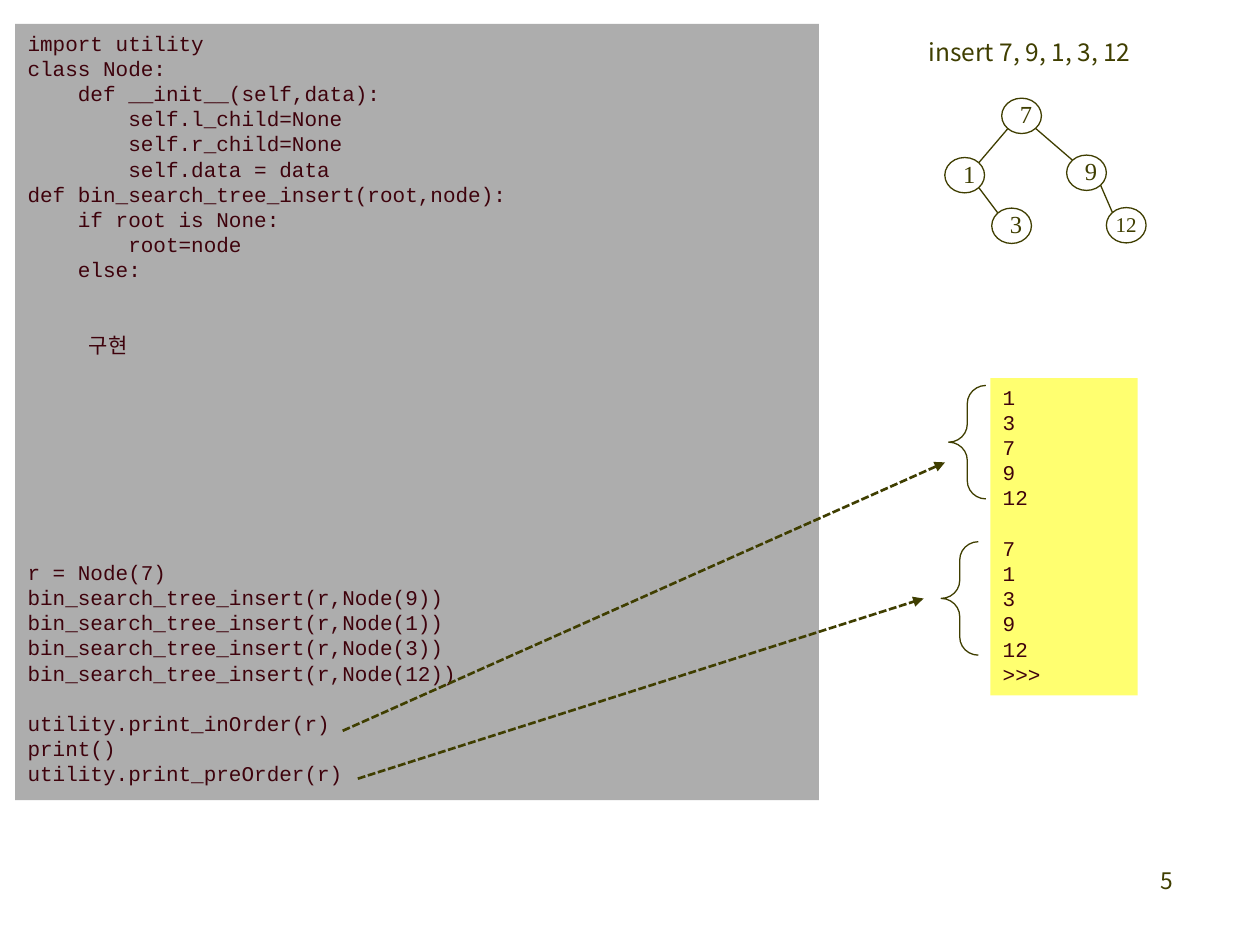
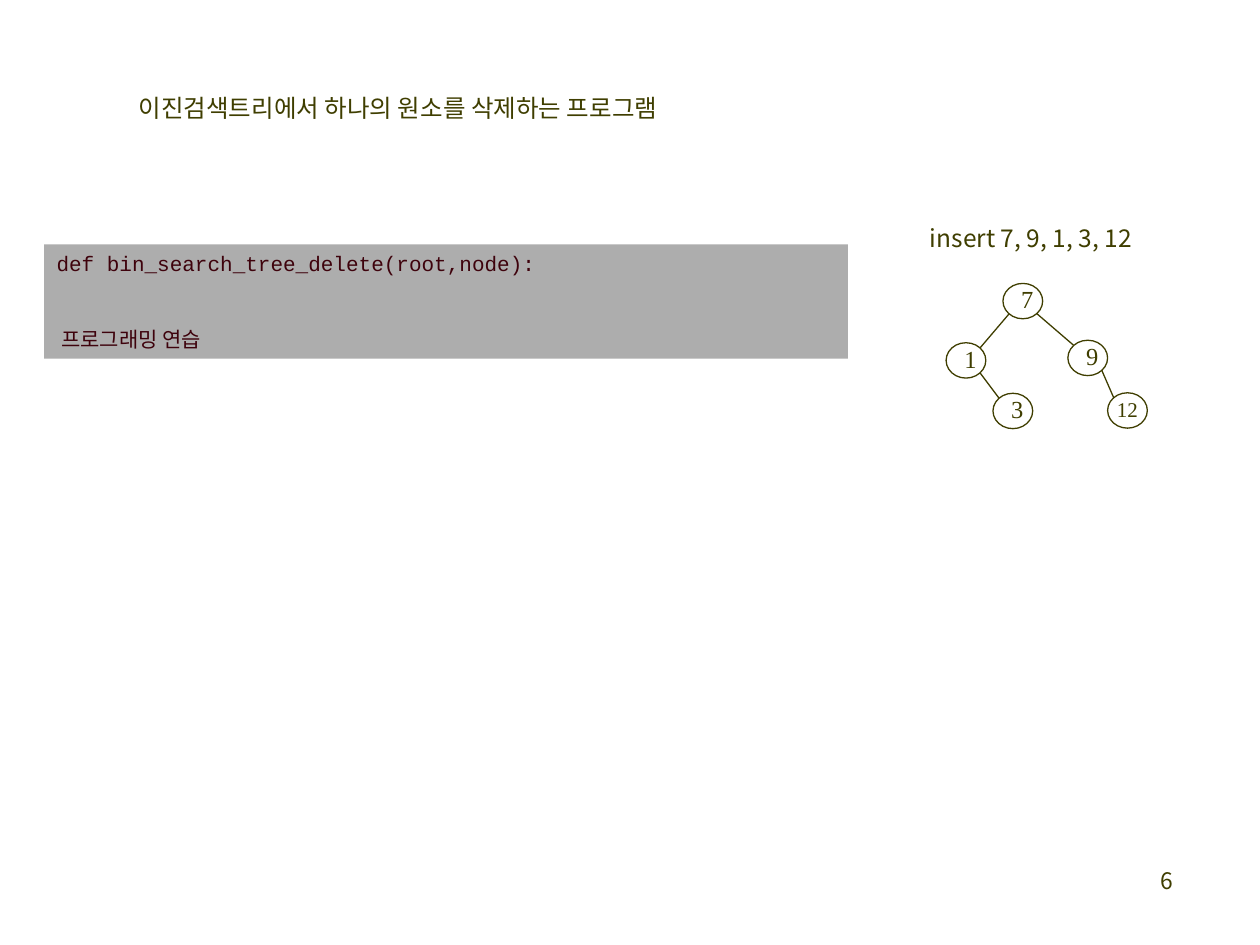
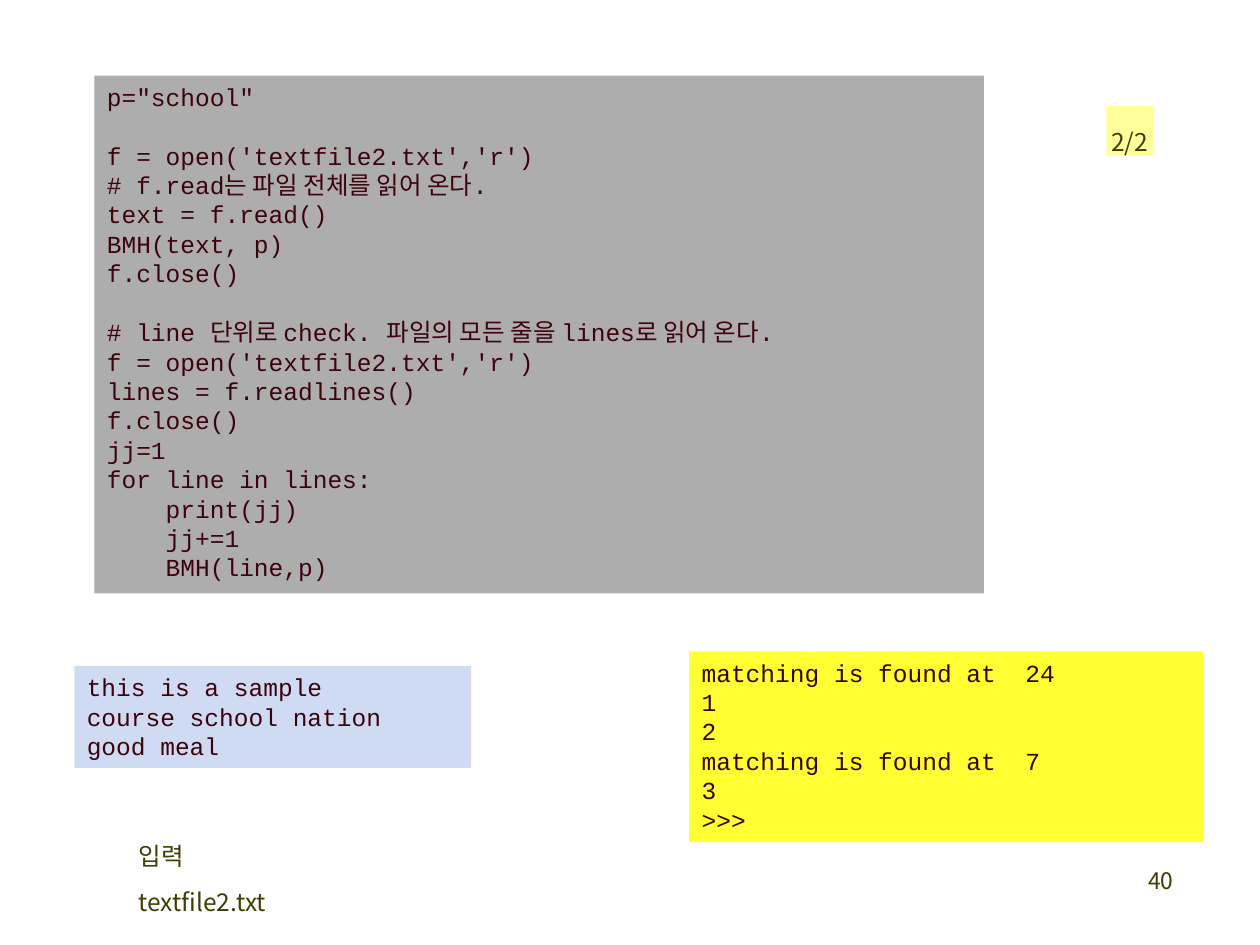
import lxml.etree
import pptx
import pptx.dml.color
import pptx.enum.dml
import pptx.enum.shapes
import pptx.enum.text
import pptx.oxml.ns
import pptx.util

Pt = pptx.util.Pt
qn = pptx.oxml.ns.qn
SHAPE = pptx.enum.shapes.MSO_SHAPE
ALIGN = pptx.enum.text.PP_ALIGN
ANCHOR = pptx.enum.text.MSO_ANCHOR

COLORS = {
    "ink": "3F3E00",
    "code": "3E020C",
    "gray": "ADADAD",
    "output": "FFFF70",
    "bright": "FFFF33",
    "pale": "FFFF99",
    "blue": "CFDBF3",
}
SANS = "Noto Sans CJK KR"
MONO = "Courier New"
SERIF = "Times New Roman"
LABEL = dict(insets=(2.88, 2.88, 2.88, 2.88), spacing=Pt(26), wrap=False)


def write(shape, text, size=14, font=SANS, color="ink", align=ALIGN.LEFT, anchor=ANCHOR.TOP,
          insets=(7.2, 3.6, 7.2, 3.6), spacing=None, wrap=True, fill=None, outline=None, indents={}):
    if fill:
        shape.fill.solid()
        shape.fill.fore_color.rgb = pptx.dml.color.RGBColor.from_string(COLORS[fill])
    else:
        shape.fill.background()
    if outline:
        shape.line.color.rgb = pptx.dml.color.RGBColor.from_string(COLORS[outline])
        shape.line.width = Pt(0.75)
    else:
        shape.line.fill.background()
    shape.shadow.inherit = False
    frame = shape.text_frame
    frame.auto_size = pptx.enum.text.MSO_AUTO_SIZE.NONE
    frame.word_wrap = wrap
    frame.vertical_anchor = anchor
    frame.margin_left, frame.margin_top, frame.margin_right, frame.margin_bottom = map(Pt, insets)
    para, skipped = frame.paragraphs[0], 0
    for line in text.split("\n"):
        if not line:
            skipped += 1
            continue
        if para.runs:
            para = frame.add_paragraph()
        para.alignment = align
        if spacing:
            para.line_spacing = spacing
        if skipped:
            para.space_before = skipped * spacing
            skipped = 0
        if line in indents:
            properties = para._p.get_or_add_pPr()
            properties.set("marL", str(Pt(indents[line])))
            properties.set("indent", "0")
        span = para.add_run()
        span.text = line
        span.font.size = Pt(size)
        span.font.color.rgb = pptx.dml.color.RGBColor.from_string(COLORS[color])
        span.font.name = font
        lxml.etree.SubElement(span._r.get_or_add_rPr(), qn("a:ea"), typeface=SANS)


def draw_line(page, start, end, arrow=False):
    line = page.shapes.add_connector(
        pptx.enum.shapes.MSO_CONNECTOR.STRAIGHT, *map(Pt, start + end))
    line.line.color.rgb = pptx.dml.color.RGBColor.from_string(COLORS["ink"])
    line.line.width = Pt(1.5 if arrow else 0.75)
    properties = line.element.spPr
    if arrow:
        line.line.dash_style = pptx.enum.dml.MSO_LINE.SQUARE_DOT
        lxml.etree.SubElement(properties.find(qn("a:ln")), qn("a:tailEnd"), type="triangle")
    lxml.etree.SubElement(properties, qn("a:effectLst"))


INSERT_CODE = """import utility
class Node:
    def __init__(self,data):
        self.l_child=None
        self.r_child=None
        self.data = data
def bin_search_tree_insert(root,node):
    if root is None:
        root=node
    else:


구현








r = Node(7)
bin_search_tree_insert(r,Node(9))
bin_search_tree_insert(r,Node(1))
bin_search_tree_insert(r,Node(3))
bin_search_tree_insert(r,Node(12))

utility.print_inOrder(r)
print()
utility.print_preOrder(r)"""

DELETE_CODE = """def bin_search_tree_delete(root,node):


프로그래밍 연습"""

SEARCH_CODE = """p="school"

f = open('textfile2.txt','r')
# f.read는 파일 전체를 읽어 온다.
text = f.read()
BMH(text, p)
f.close()

# line 단위로 check. 파일의 모든 줄을 lines로 읽어 온다.
f = open('textfile2.txt','r')
lines = f.readlines()
f.close()
jj=1
for line in lines:
    print(jj)
    jj+=1
    BMH(line,p)"""

TRAVERSALS = "1\n3\n7\n9\n12\n\n7\n1\n3\n9\n12\n>>>"
MATCHES = "matching is found at  24\n1\n2\nmatching is found at  7\n3\n>>>"
SAMPLE = "this is a sample\ncourse school nation\ngood meal"

deck = pptx.Presentation()
deck.slide_width, deck.slide_height = Pt(720), Pt(540)
title_only, blank = deck.slide_layouts[5], deck.slide_layouts[6]
insert_page, delete_page, search_page = [
    deck.slides.add_slide(layout) for layout in (blank, title_only, blank)]

for page, number in ((insert_page, "5"), (delete_page, "6"), (search_page, "40")):
    box = page.shapes.add_textbox(Pt(527.76), Pt(491.76), Pt(149.76), Pt(36))
    write(box, number, size=13, align=ALIGN.RIGHT)

title = delete_page.shapes.title
title.left, title.top, title.width, title.height = Pt(76.32), Pt(41.04), Pt(336.24), Pt(31.68)
write(title, "이진검색트리에서 하나의 원소를 삭제하는 프로그램", **LABEL)

panels = [
    (insert_page, INSERT_CODE, 12, "gray", (8.64, 13.68, 459.36, 443.52)),
    (insert_page, TRAVERSALS, 12, "output", (565.92, 216, 84.24, 181.44)),
    (delete_page, DELETE_CODE, 12, "gray", (25.2, 139.68, 459.36, 65.3)),
    (search_page, SEARCH_CODE, 14, "gray", (54, 43.2, 508.32, 295.92)),
    (search_page, MATCHES, 14, "bright", (393.84, 372.24, 293.76, 109.08)),
    (search_page, SAMPLE, 14, "blue", (42.48, 380.52, 226.8, 58.32)),
]
for page, text, size, fill, place in panels:
    panel = page.shapes.add_shape(SHAPE.RECTANGLE, *map(Pt, place))
    write(panel, text, size=size, font=MONO, color="code", fill=fill, spacing=Pt(size * 1.2),
          indents={"구현": 35, "프로그래밍 연습": 2.7})

nodes = {"7": (572.4, 56.1), "9": (609.5, 88.6), "1": (539.9, 90), "3": (566.7, 118.9),
         "12": (632.2, 118.6)}
edges = [
    ((576, 73.4), (559.4, 92.9)),
    ((591.8, 73.4), (612.7, 91.4)),
    ((559.4, 107.3), (570.2, 121.7)),
    ((628.9, 105.8), (635.8, 121.7)),
]
for page, right, down in ((insert_page, 0, 0), (delete_page, 0.72, 105.84)):
    box = page.shapes.add_textbox(Pt(527.76 + right), Pt(9.36 + down), Pt(126), Pt(31.68))
    write(box, "insert 7, 9, 1, 3, 12", **LABEL)
    for key, (left, top) in nodes.items():
        node = page.shapes.add_shape(SHAPE.OVAL, Pt(left + right), Pt(top + down), Pt(22.7), Pt(20.2))
        wide = len(key) > 1
        side = 0 if wide else 7.2
        write(node, key, size=12 if wide else 14, font=SERIF, align=ALIGN.CENTER,
              anchor=ANCHOR.MIDDLE, insets=(side, 3.6, side, 3.6), spacing=0.9, outline="ink")
    for start, end in edges:
        draw_line(page, *[(x + right, y + down) for x, y in (start, end)])

for left, top in ((542.16, 220.32), (537.84, 309.6)):
    brace = insert_page.shapes.add_shape(SHAPE.LEFT_BRACE, Pt(left), Pt(top), Pt(21.2), Pt(64.8))
    brace.adjustments[0], brace.adjustments[1] = 0.49, 0.5
    write(brace, "", outline="ink")
draw_line(insert_page, (195.84, 417.6), (540, 264.24), arrow=True)
draw_line(insert_page, (204.48, 444.96), (527.76, 342), arrow=True)

box = search_page.shapes.add_textbox(Pt(76.32), Pt(468.72), Pt(109.44), Pt(57.76))
write(box, "입력\ntextfile2.txt", **LABEL)
badge = search_page.shapes.add_shape(SHAPE.RECTANGLE, Pt(632.16), Pt(60.48), Pt(27), Pt(28.44))
write(badge, "2/2", fill="pale", **LABEL)

deck.save("out.pptx")
